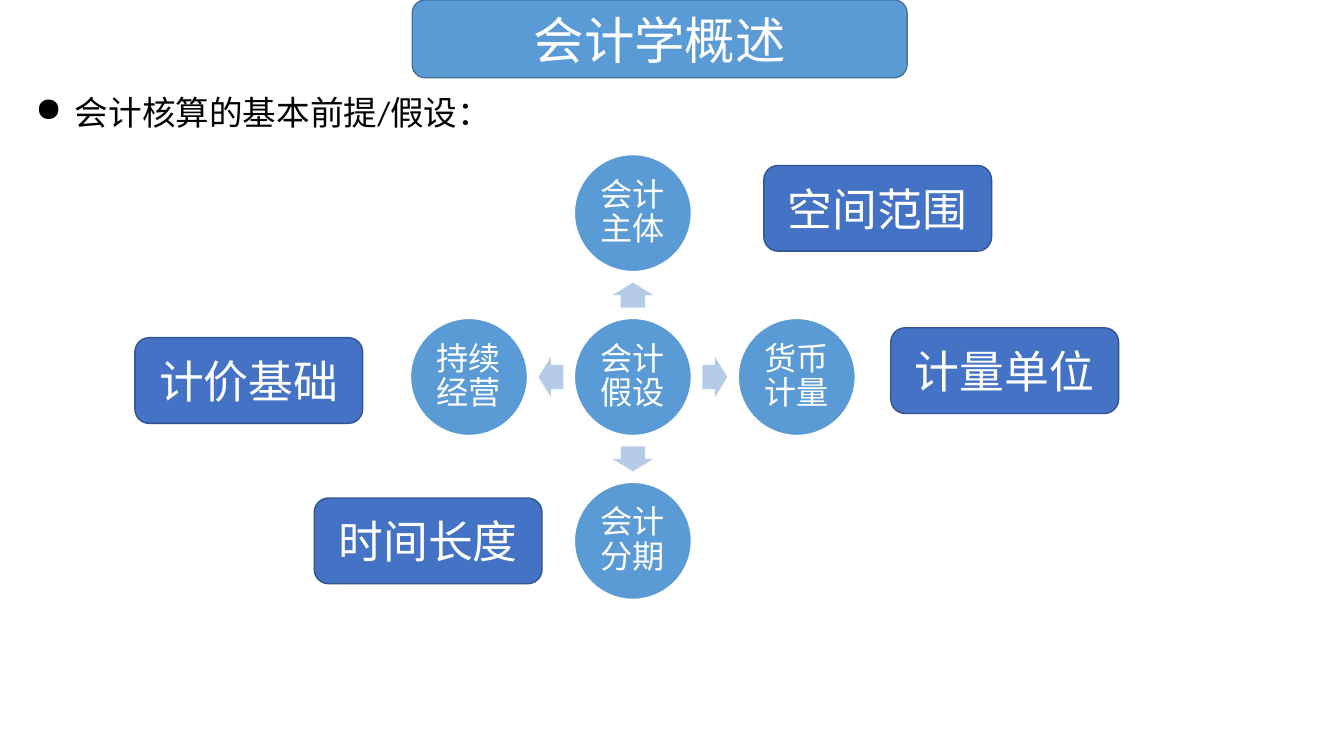
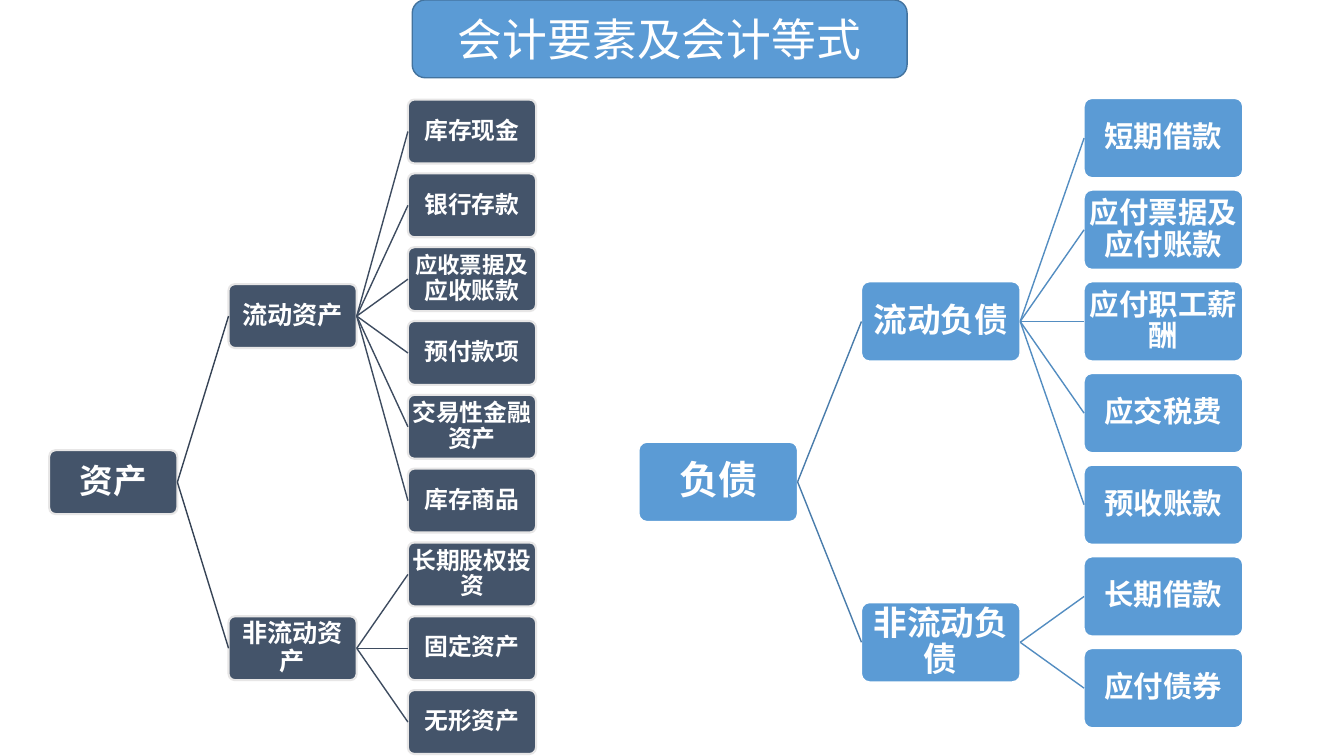
"""Build two accounting slides: basic assumptions, and asset and liability trees."""
from lxml import etree
from pptx import Presentation
from pptx.dml.color import RGBColor
from pptx.enum.shapes import MSO_CONNECTOR, MSO_SHAPE
from pptx.enum.text import MSO_ANCHOR, MSO_AUTO_SIZE, PP_ALIGN
from pptx.oxml.ns import qn
from pptx.util import Cm, Pt

FONT = "Calibri"
WHITE = RGBColor(0xFF, 0xFF, 0xFF)
BLACK = RGBColor(0x00, 0x00, 0x00)
BLUE = RGBColor(0x5B, 0x9B, 0xD5)
TITLE_EDGE = RGBColor(0x43, 0x73, 0x9E)
ROYAL = RGBColor(0x44, 0x72, 0xC4)
ROYAL_EDGE = RGBColor(0x32, 0x54, 0x91)
PALE_BLUE = RGBColor(0xB5, 0xCB, 0xE7)
SLATE = RGBColor(0x44, 0x54, 0x6A)
SLATE_EDGE = RGBColor(0xE7, 0xE6, 0xE6)
SLATE_TRUNK = RGBColor(0x36, 0x43, 0x55)
SLATE_TWIG = RGBColor(0x3E, 0x4C, 0x60)
BLUE_TRUNK = RGBColor(0x49, 0x7C, 0xAB)
BLUE_TWIG = RGBColor(0x53, 0x8D, 0xC1)

OVERVIEW_TITLE = ("会计学概述", 36)
ELEMENTS_TITLE = ("会计要素及会计等式", 32)
PREMISE = "会计核算的基本前提/假设："
HUB = "会计假设"
HUB_CENTER = (15.95, 9.5)
ASSUMPTIONS = [
    ("会计主体", 0, -1, 270),
    ("货币计量", 1, 0, 0),
    ("会计分期", 0, 1, 90),
    ("持续经营", -1, 0, 180),
]
MEANINGS = [
    ("空间范围", 19.25, 4.17),
    ("计量单位", 22.45, 8.26),
    ("计价基础", 3.4, 8.51),
    ("时间长度", 7.92, 12.55),
]
TREES = [
    dict(
        root="资产",
        branches=[
            ("流动资产", ["库存现金", "银行存款", "应收票据|及应收账款",
                      "预付款项", "交易性金融资产", "库存商品"]),
            ("非流动资产", ["长期股权投资", "固定资产", "无形资产"]),
        ],
        left=1.24, top=2.51, width=3.23, height=1.61, column=4.52, row=1.86,
        sizes=(24, 18, 17), fill=SLATE, edge=SLATE_EDGE, edge_width=1.5,
        trunk=SLATE_TRUNK, twig=SLATE_TWIG,
    ),
    dict(
        root="负债",
        branches=[
            ("流动负债", ["短期借款", "应付票据及应付账款", "应付职工薪酬",
                      "应交税费", "预收账款"]),
            ("非流动负债", ["长期借款", "应付债券"]),
        ],
        left=16.1, top=2.48, width=4.0, height=2.0, column=5.61, row=2.31,
        sizes=(28, 24, 21), fill=BLUE, edge=WHITE, edge_width=1,
        trunk=BLUE_TRUNK, twig=BLUE_TWIG,
    ),
]


def style_run(run, size, color=WHITE, bold=False):
    run.font.name = FONT
    run.font.size = Pt(size)
    run.font.color.rgb = color
    run.font.bold = bold


def add_box(slide, kind, left, top, width, height, fill, edge=None, edge_width=1):
    box = slide.shapes.add_shape(kind, Cm(left), Cm(top), Cm(width), Cm(height))
    box.shadow.inherit = False
    box.fill.solid()
    box.fill.fore_color.rgb = fill
    if edge is None:
        box.line.fill.background()
    else:
        box.line.color.rgb = edge
        box.line.width = Pt(edge_width)
    return box


def write_label(box, label, size, bold=False, inset=None):
    frame = box.text_frame
    frame.word_wrap = True
    frame.vertical_anchor = MSO_ANCHOR.MIDDLE
    paragraph = frame.paragraphs[0]
    paragraph.alignment = PP_ALIGN.CENTER
    if inset is not None:
        frame.margin_left = frame.margin_right = Cm(inset)
        frame.margin_top = frame.margin_bottom = Cm(inset)
        paragraph.line_spacing = 0.9
    *smaller, last = label.split("|")
    for part in smaller:
        run = paragraph.add_run()
        run.text = part
        style_run(run, size - 1, bold=bold)
    run = paragraph.add_run()
    run.text = last
    style_run(run, size, bold=bold)


def add_titled_slide(deck, title, size):
    slide = deck.slides.add_slide(deck.slide_layouts[6])
    banner = add_box(slide, MSO_SHAPE.ROUNDED_RECTANGLE, 10.39, 0, 12.47, 1.96,
                     BLUE, TITLE_EDGE)
    write_label(banner, title, size)
    return slide


def add_premise(slide):
    premise = slide.shapes.add_textbox(Cm(0.64), Cm(2.18), Cm(12.09), Cm(1.27))
    frame = premise.text_frame
    frame.word_wrap = False
    frame.auto_size = MSO_AUTO_SIZE.SHAPE_TO_FIT_TEXT
    frame.text = PREMISE
    paragraph = frame.paragraphs[0]
    properties = paragraph._p.get_or_add_pPr()
    properties.set("marL", str(Cm(1)))
    properties.set("indent", str(-Cm(1)))
    etree.SubElement(properties, qn("a:buChar")).set("char", "●")
    style_run(paragraph.runs[0], 24, BLACK)


def add_circle(slide, label, center_x, center_y, diameter=2.95):
    circle = add_box(slide, MSO_SHAPE.OVAL, center_x - diameter / 2,
                     center_y - diameter / 2, diameter, diameter, BLUE, WHITE)
    write_label(circle, label, 23, inset=0.08)


def add_assumptions(slide, pitch=4.13, arrow_length=0.63, arrow_width=1.02):
    hub_x, hub_y = HUB_CENTER
    add_circle(slide, HUB, hub_x, hub_y)
    for label, across, down, angle in ASSUMPTIONS:
        arrow = add_box(slide, MSO_SHAPE.RIGHT_ARROW,
                        hub_x + across * pitch / 2 - arrow_length / 2,
                        hub_y + down * pitch / 2 - arrow_width / 2,
                        arrow_length, arrow_width, PALE_BLUE)
        arrow.adjustments[0] = 0.6
        arrow.rotation = angle
        add_circle(slide, label, hub_x + across * pitch, hub_y + down * pitch)


def add_meanings(slide):
    for label, left, top in MEANINGS:
        meaning = add_box(slide, MSO_SHAPE.FLOWCHART_ALTERNATE_PROCESS,
                          left, top, 5.74, 2.16, ROYAL, ROYAL_EDGE)
        write_label(meaning, label, 32)


def add_node(slide, tree, label, level, row):
    node = add_box(slide, MSO_SHAPE.ROUNDED_RECTANGLE,
                   tree["left"] + level * tree["column"],
                   tree["top"] + row * tree["row"],
                   tree["width"], tree["height"],
                   tree["fill"], tree["edge"], tree["edge_width"])
    node.adjustments[0] = 0.1
    write_label(node, label, tree["sizes"][level], bold=True, inset=0.03)
    return node


def join(slide, parent, child, color):
    link = slide.shapes.add_connector(MSO_CONNECTOR.STRAIGHT, 0, 0, 0, 0)
    link.begin_connect(parent, 3)
    link.end_connect(child, 1)
    link.line.color.rgb = color
    link.line.width = Pt(1)
    etree.SubElement(link._element.spPr, qn("a:effectLst"))


def add_tree(slide, tree):
    first_row = 0
    branch_rows = []
    for _, leaves in tree["branches"]:
        branch_rows.append(first_row + (len(leaves) - 1) / 2)
        first_row += len(leaves)
    root = add_node(slide, tree, tree["root"], 0, sum(branch_rows) / len(branch_rows))
    leaf_row = 0
    for (name, leaves), branch_row in zip(tree["branches"], branch_rows):
        branch = add_node(slide, tree, name, 1, branch_row)
        join(slide, root, branch, tree["trunk"])
        for label in leaves:
            leaf = add_node(slide, tree, label, 2, leaf_row)
            join(slide, branch, leaf, tree["twig"])
            leaf_row += 1


def main():
    deck = Presentation()
    deck.slide_width, deck.slide_height = Cm(33.87), Cm(19.05)

    overview = add_titled_slide(deck, *OVERVIEW_TITLE)
    add_assumptions(overview)
    add_premise(overview)
    add_meanings(overview)

    elements = add_titled_slide(deck, *ELEMENTS_TITLE)
    for tree in TREES:
        add_tree(elements, tree)

    deck.save("out.pptx")


if __name__ == "__main__":
    main()
